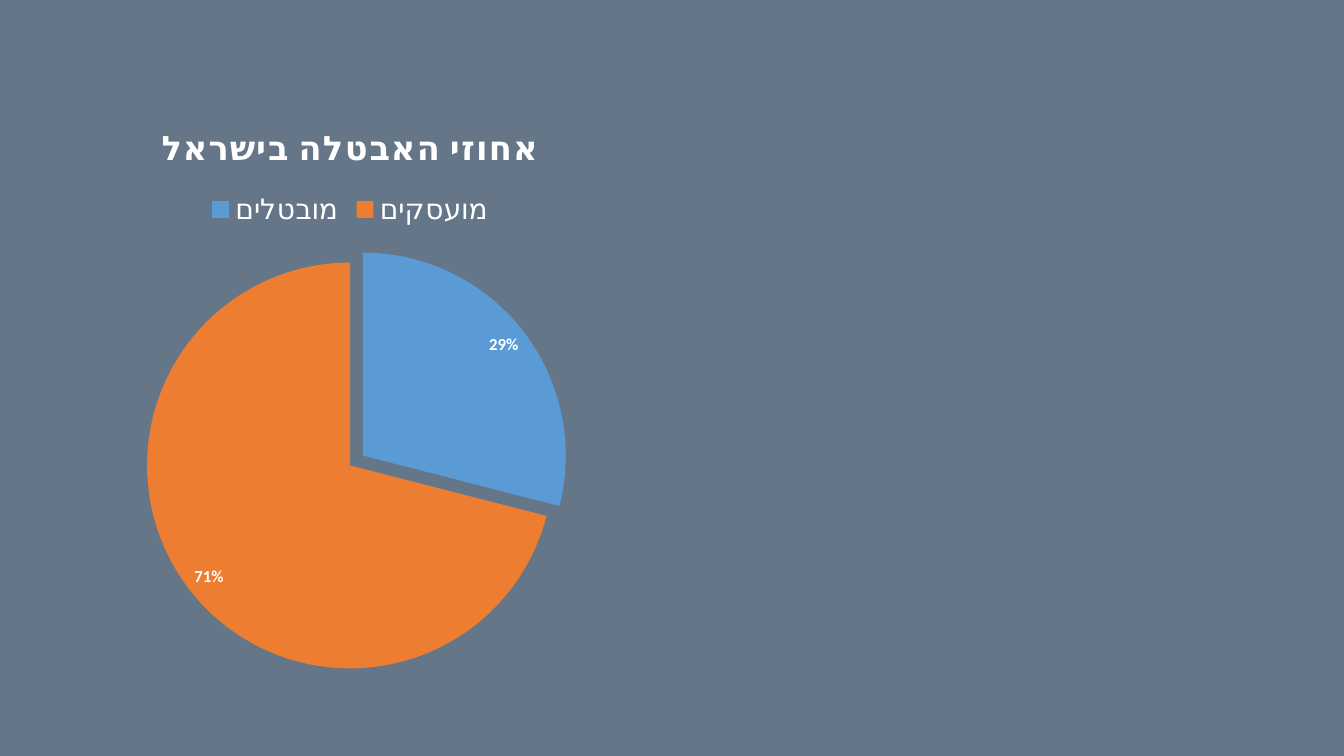
from lxml import etree
from pptx import Presentation
from pptx.chart.data import CategoryChartData
from pptx.dml.color import RGBColor
from pptx.enum.chart import XL_CHART_TYPE, XL_LABEL_POSITION, XL_LEGEND_POSITION
from pptx.oxml.ns import qn
from pptx.util import Pt

PIE = XL_CHART_TYPE.PIE
TOP = XL_LEGEND_POSITION.TOP
INSIDE = XL_LABEL_POSITION.INSIDE_END

COLORS = {"back": "647687", "text": "FFFFFF", "idle": "5B9BD5", "work": "ED7D31"}
TITLE = "אחוזי האבטלה בישראל"
SHARES = {"מובטלים": (29, "idle"), "מועסקים": (71, "work")}
BURST = 8


def paint(fill, name):
    fill.solid()
    fill.fore_color.rgb = RGBColor.from_string(COLORS[name])


def style(font, size, face, bold=False):
    font.size = Pt(size)
    font.name = face
    font.bold = bold
    paint(font.fill, "text")
    # Hebrew letters take the complex-script typeface
    props = font._rPr
    etree.SubElement(props, qn("a:cs")).set("typeface", face)


def write(frame, text, size, face, bold=False, gap=0):
    run = frame.paragraphs[0].add_run()
    run.text = text
    style(run.font, size, face, bold)
    run.font._rPr.set("spc", str(gap * 100))


def burst(series, index, amount):
    """Pull one slice out of the pie by a percentage of the radius."""
    for point in series._element.findall(qn("c:dPt")):
        if point.find(qn("c:idx")).get("val") == str(index):
            node = etree.Element(qn("c:explosion"))
            node.set("val", str(amount))
            point.find(qn("c:spPr")).addprevious(node)


def add_pie(slide, left, top, width, height):
    data = CategoryChartData()
    data.categories = list(SHARES)
    data.add_series(TITLE, [share for share, _ in SHARES.values()])
    frame = slide.shapes.add_chart(
        PIE, Pt(left), Pt(top), Pt(width), Pt(height), data)
    chart = frame.chart
    chart.font.size = Pt(10)
    chart.font.name = "Calibri"

    chart.has_title = True
    write(chart.chart_title.text_frame, TITLE, 24, "Cabin", bold=True, gap=1)
    chart.chart_title.include_in_layout = False

    chart.has_legend = True
    chart.legend.position = TOP
    chart.legend.include_in_layout = False
    style(chart.legend.font, 20, "Cabin")

    plot = chart.plots[0]
    plot.vary_by_categories = True
    series = plot.series[0]
    for index, (_, color) in enumerate(SHARES.values()):
        paint(series.points[index].format.fill, color)
    burst(series, 0, BURST)

    plot.has_data_labels = True
    labels = plot.data_labels
    labels.show_percentage = True
    labels.show_value = False
    labels.number_format = "0%"
    labels.number_format_is_linked = False
    labels.position = INSIDE
    style(labels.font, 12, "Calibri", bold=True)


def main():
    deck = Presentation()
    deck.slide_width, deck.slide_height = Pt(960), Pt(540)
    slide = deck.slides.add_slide(deck.slide_layouts[6])
    paint(slide.background.fill, "back")
    add_pie(slide, 67, 72, 366, 427)
    deck.save("out.pptx")


if __name__ == "__main__":
    main()
